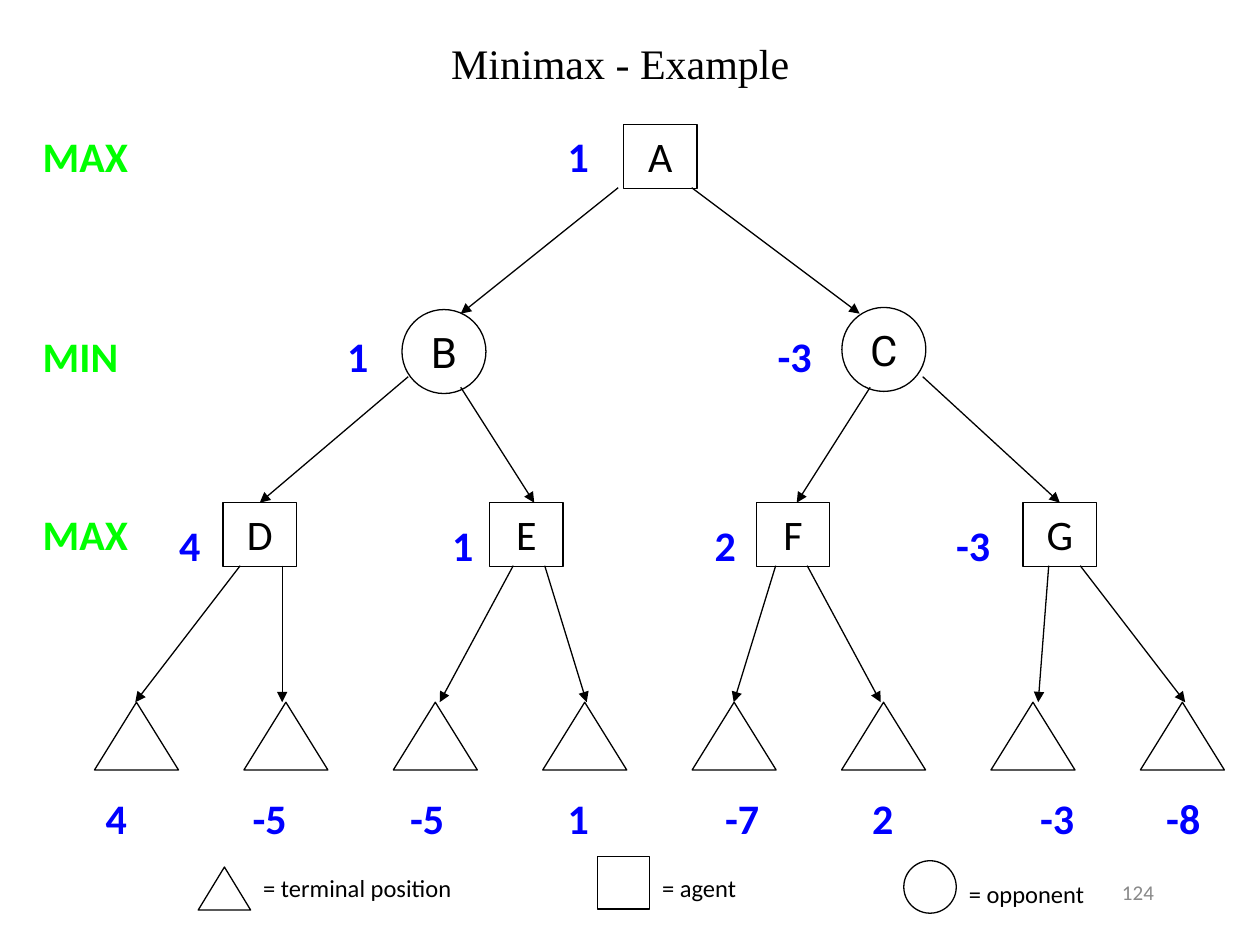
from dataclasses import dataclass
from lxml.etree import SubElement
from pptx import Presentation
from pptx.dml.color import RGBColor as Rgb
from pptx.enum.shapes import MSO_CONNECTOR as Link, MSO_SHAPE as Kind
from pptx.enum.text import MSO_ANCHOR as Anchor, PP_ALIGN as Align
from pptx.oxml.ns import qn
from pptx.util import Inches, Pt


@dataclass(frozen=True)
class Theme:
    ink: str = "000000"
    value: str = "0000FF"
    level: str = "00FF00"
    muted: str = "898989"
    font: str = "Calibri"
    round: str = "Roboto"
    serif: str = "Times New Roman"
    big: int = 24
    key: int = 14
    small: int = 12
    line: float = 0.75


class Board:
    cell = 1 / 12
    shift = -0.01

    def __init__(self, slide, theme):
        self.slide = slide
        self.theme = theme

    def at(self, col):
        return Inches(col * self.cell + self.shift)

    def size(self, span):
        return Inches(span * self.cell)

    def box(self, x, y, w, h):
        return self.at(x), self.at(y), self.size(w), self.size(h)

    def label(self, shape, words, color, size, font=None, bold=False,
              align=Align.LEFT, anchor=Anchor.TOP, wrap=True):
        frame = shape.text_frame
        frame.text = words
        for name, val in {"word_wrap": wrap, "vertical_anchor": anchor}.items():
            setattr(frame, name, val)
        para = frame.paragraphs[0]
        para.alignment = align
        face = para.runs[0].font
        style = {"name": font or self.theme.font, "size": Pt(size), "bold": bold}
        for name, val in style.items():
            setattr(face, name, val)
        face.color.rgb = Rgb.from_string(color)

    def title(self, words, x, y, w, h):
        head = self.slide.shapes.title
        names = ("left", "top", "width", "height")
        for name, val in zip(names, self.box(x, y, w, h)):
            setattr(head, name, val)
        self.label(head, words, self.theme.ink, self.theme.big,
                   self.theme.serif, align=Align.CENTER)

    def text(self, words, x, y, w, h, color, size, **style):
        area = self.slide.shapes.add_textbox(*self.box(x, y, w, h))
        self.label(area, words, color, size, **style)

    def value(self, words, x, y, w):
        self.text(words, x, y, w, 4.8, self.theme.value, self.theme.big, bold=True)

    def shape(self, kind, x, y, w, h):
        item = self.slide.shapes.add_shape(kind, *self.box(x, y, w, h))
        item.shadow.inherit = False
        item.fill.background()
        item.line.color.rgb = Rgb.from_string(self.theme.ink)
        item.line.width = Pt(self.theme.line)
        return item

    def agent(self, name, x, y):
        item = self.shape(Kind.RECTANGLE, x, y, 7, 6.1)
        self.label(item, name, self.theme.ink, self.theme.big, align=Align.CENTER)
        return item

    def rival(self, name, x, y):
        item = self.shape(Kind.OVAL, x, y, 8, 8)
        self.label(item, name, self.theme.ink, self.theme.big, self.theme.round,
                   align=Align.CENTER, anchor=Anchor.MIDDLE, wrap=False)

    def arrow(self, x1, y1, x2, y2, goal=None):
        ends = [self.at(n) for n in (x1, y1, x2, y2)]
        wire = self.slide.shapes.add_connector(Link.STRAIGHT, *ends)
        if goal is not None:
            wire.end_connect(goal, 0)
        wire.line.color.rgb = Rgb.from_string(self.theme.ink)
        wire.line.width = Pt(self.theme.line)
        props = wire.element.spPr
        SubElement(props.find(qn("a:ln")), qn("a:tailEnd"), type="triangle")
        SubElement(props, qn("a:effectLst"))

    def legend(self, kind, words, x, y, h, row):
        self.shape(kind, x, y, 5, h)
        self.text(words, x + 5, row, 22, 4, self.theme.ink, self.theme.key)


def main():
    deck = Presentation()
    deck.slide_width, deck.slide_height = Inches(10), Inches(7.5)
    theme = Theme()
    board = Board(deck.slides.add_slide(deck.slide_layouts[5]), theme)
    board.title("Minimax - Example", 14.2, 3.1, 90, 10)

    for words, y in (("MAX", 12), ("MIN", 31), ("MAX", 48)):
        board.text(words, 3, y, 13, 6, theme.level, theme.big, bold=True)

    board.agent("A", 59.5, 12)
    board.rival("B", 38.4, 29.6)
    board.rival("C", 80.3, 29.4)
    nodes = {name: board.agent(name, 21.36 + 25.4 * i, 48)
             for i, name in enumerate("DEFG")}
    for i in range(8):
        board.shape(Kind.ISOSCELES_TRIANGLE, 9.12 + 14.23 * i, 67, 8, 6.45)

    for x1, x2 in ((59, 44), (66, 82)):
        board.arrow(x1, 18, x2, 30)
    for x1, y1, x2, name in ((39, 36, 25, "D"), (44, 37, 51, None),
                             (83, 37, 76, None), (88, 36, 101, "G")):
        board.arrow(x1, y1, x2, 48, nodes.get(name))
    for x1, x2 in ((23, 13), (27, 27), (49, 42), (52, 56),
                   (74, 70), (77, 84), (100, 99), (103, 113)):
        board.arrow(x1, 54, x2, 67)

    scores = {
        12: (("1", 53, 5),),
        31: (("1", 32, 5), ("-3", 73, 7)),
        49: (("4", 16, 5), ("1", 42, 4), ("2", 67, 4), ("-3", 90, 6)),
        75: (("4", 9, 10), ("-5", 23, 12), ("-5", 38, 12), ("1", 53, 12),
             ("-7", 68, 12), ("2", 82, 12), ("-3", 98, 12), ("-8", 110, 10)),
    }
    for y, row in scores.items():
        for words, x, w in row:
            board.value(words, x, y, w)

    board.legend(Kind.ISOSCELES_TRIANGLE, "= terminal position", 19, 82.7, 4.1, 82.7)
    board.legend(Kind.RECTANGLE, "= agent", 57, 81.7, 5, 82.7)
    board.legend(Kind.OVAL, "= opponent", 86.2, 82.1, 5, 83.2)
    board.text("124", 86.2, 82.1, 25, 6, theme.muted, theme.small,
               align=Align.RIGHT, anchor=Anchor.MIDDLE)
    deck.save("out.pptx")


if __name__ == "__main__":
    main()
